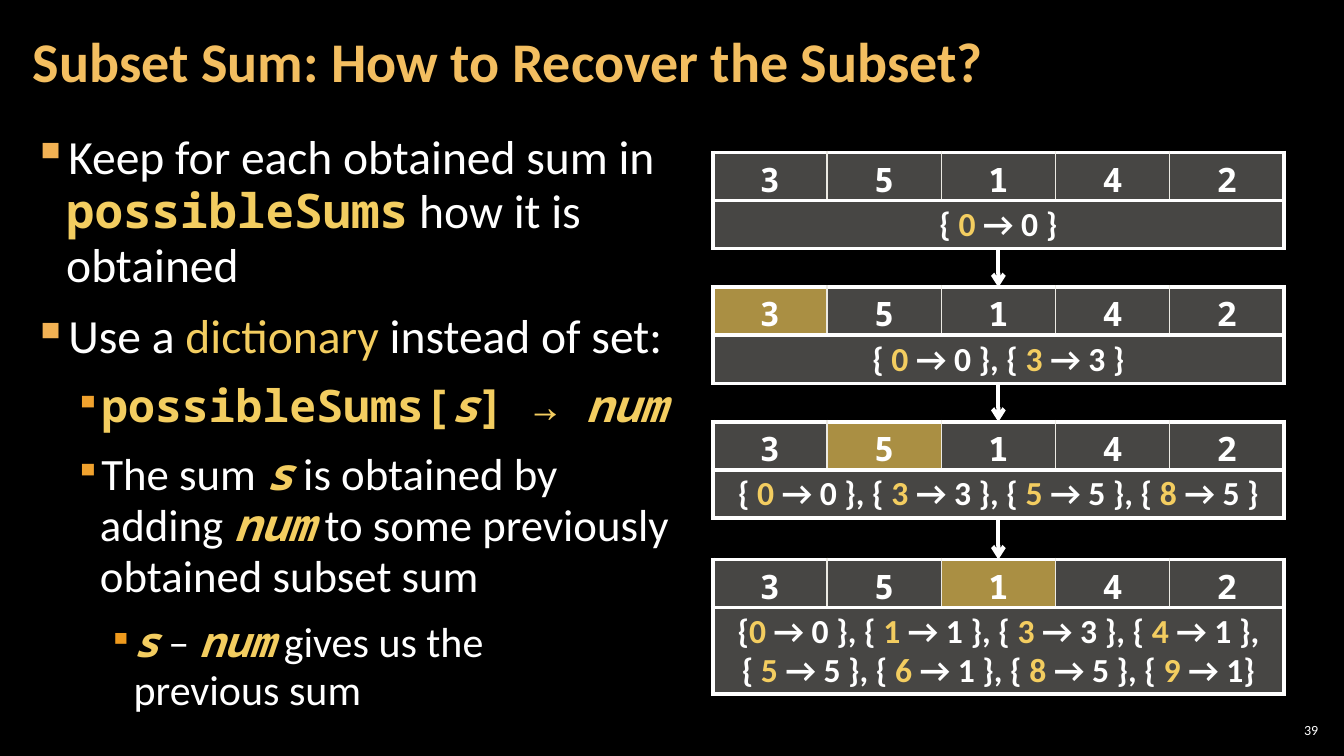
"""Build the slide on recovering the subset in the Subset Sum problem."""
from lxml.etree import SubElement
from pptx import Presentation
from pptx.dml.color import RGBColor
from pptx.enum.shapes import MSO_CONNECTOR
from pptx.enum.text import MSO_ANCHOR, PP_ALIGN
from pptx.oxml.ns import qn
from pptx.util import Cm, Pt

WHITE, GOLD, GREY = "FFFFFF", "F3CD60", "ECEAE3"
SANS, MONO = "Calibri", "Noto Sans Mono"
STYLES = {
    "plain": ({"name": SANS, "bold": False, "italic": False}, WHITE),
    "key": ({"name": SANS, "bold": False, "italic": False}, GOLD),
    "code": ({"name": MONO, "bold": True, "italic": False}, GOLD),
    "var": ({"name": MONO, "bold": True, "italic": True}, GOLD),
    "title": ({"name": SANS, "bold": True}, "F3BE60"),
    "number": ({"name": MONO, "bold": True}, WHITE),
    "value": ({"name": SANS, "bold": True}, WHITE),
    "sum": ({"name": SANS, "bold": True}, GOLD),
}


def color(hex_string):
    return RGBColor.from_string(hex_string)


def write(paragraph, runs, size, spacing=0.95):
    paragraph.line_spacing = spacing
    for text, style in runs:
        for index, line in enumerate(text.split("\n")):
            if index:
                paragraph.add_line_break()
            run = paragraph.add_run()
            run.text = line
            run.font.size = Pt(size)
            values, run_color = STYLES[style]
            for name, value in values.items():
                setattr(run.font, name, value)
            run.font.color.rgb = color(run_color)


presentation = Presentation()
presentation.slide_width, presentation.slide_height = Cm(33.87), Cm(19.05)
slide = presentation.slides.add_slide(presentation.slide_layouts[6])
slide.background.fill.solid()
slide.background.fill.fore_color.rgb = color("000000")

frames = []
for left, top, width, height, side, anchor in (
    (32.13, 18.14, 1.19, 0.53, 0.1, MSO_ANCHOR.MIDDLE),
    (0.53, 3.2, 17.04, 15.47, 0.3, MSO_ANCHOR.TOP),
    (0.53, 0.1, 26.59, 3.07, 0.3, MSO_ANCHOR.MIDDLE),
):
    frame = slide.shapes.add_textbox(Cm(left), Cm(top), Cm(width), Cm(height)).text_frame
    layout = {
        "word_wrap": True, "vertical_anchor": anchor,
        "margin_left": Cm(side), "margin_right": Cm(side),
        "margin_top": Cm(0.1), "margin_bottom": Cm(0.1),
    }
    for name, value in layout.items():
        setattr(frame, name, value)
    frames.append(frame)
page_number, explanation, title = frames

page_number.paragraphs[0].alignment = PP_ALIGN.RIGHT
write(page_number.paragraphs[0], [("39", "plain")], 10, 1.0)
write(title.paragraphs[0], [("Subset Sum: How to Recover the Subset?", "title")], 40, 0.9)

LEVELS = [
    {"size": 34, "left": 0.84, "hang": 0.84, "bullet": "F2B254", "percent": 100},
    {"size": 32, "left": 1.69, "hang": 0.64, "bullet": "F0A22E", "percent": 80},
    {"size": 30, "left": 2.54, "hang": 0.64, "bullet": "EF9A1D", "percent": 80},
]
POINTS = [
    (0, [("Keep for each obtained sum in ", "plain"), ("possibleSums", "code"),
         (" how it is obtained", "plain")]),
    (0, [("Use a ", "plain"), ("dictionary", "key"), (" instead of set:", "plain")]),
    (1, [("possibleSums[", "code"), ("s", "var"), ("] → ", "code"), ("num", "var")]),
    (1, [("The sum ", "plain"), ("s", "var"), (" is obtained by adding ", "plain"),
         ("num", "var"), (" to some previously obtained subset sum", "plain")]),
    (2, [("s", "var"), (" – ", "plain"), ("num", "var"),
         (" gives us the\nprevious sum", "plain")]),
]
for index, (depth, runs) in enumerate(POINTS):
    level = LEVELS[depth]
    point = explanation.add_paragraph() if index else explanation.paragraphs[0]
    point.level = depth
    properties = point._p.get_or_add_pPr()
    properties.set("marL", str(Cm(level["left"])))
    properties.set("indent", str(-Cm(level["hang"])))
    bullet_color = SubElement(properties, qn("a:buClr"))
    SubElement(bullet_color, qn("a:srgbClr"), val=level["bullet"])
    SubElement(properties, qn("a:buSzPct"), val=str(level["percent"] * 1000))
    SubElement(properties, qn("a:buChar"), char="▪")
    point.space_before = Pt(6 if index else 0)
    point.space_after = Pt(6)
    write(point, runs, level["size"])

NUMBERS = ["3", "5", "1", "4", "2"]
TABLE_LEFT, TABLE_WIDTH, ROW_HEIGHT = 17.96, 14.4, 1.21
STEPS = [
    (3.84, None, "{ |0 |→ 0 }", 1),
    (7.24, 0, "{ |0 |→ 0 }, { |3 |→ 3 }", 1),
    (10.63, 1, "{ |0 |→ 0 }, { |3 |→ 3 }, { |5 |→ 5 }, { |8 |→ 5 }", 1),
    (14.1, 2, "{|0 |→ 0 }, { |1 |→ 1 }, { |3 |→ 3 }, { |4 |→ 1 },\n"
              "{ |5 |→ 5 }, { |6 |→ 1 }, { |8 |→ 5 }, { |9 |→ 1}", 1.8),
]
for top, current, sums, lines in STEPS:
    number_cells = [[(number, "number")] for number in NUMBERS]
    sum_runs = [(text, "sum" if i % 2 else "value") for i, text in enumerate(sums.split("|"))]
    for row_top, height, cells, marked in (
        (top, ROW_HEIGHT, number_cells, current),
        (top + ROW_HEIGHT, ROW_HEIGHT * lines, [sum_runs], None),
    ):
        table = slide.shapes.add_table(
            1, len(cells), Cm(TABLE_LEFT), Cm(row_top), Cm(TABLE_WIDTH), Cm(height)).table
        table.first_row = table.horz_banding = False
        for column, runs in enumerate(cells):
            cell = table.cell(0, column)
            cell.margin_top = cell.margin_bottom = Cm(0.12)
            cell.text_frame.paragraphs[0].alignment = PP_ALIGN.CENTER
            write(cell.text_frame.paragraphs[0], runs, 24)
            properties = cell._tc.get_or_add_tcPr()
            edges = {"lnL": column == 0, "lnR": column == len(cells) - 1,
                     "lnT": True, "lnB": True}
            for edge, outer in edges.items():
                border = SubElement(properties, qn(f"a:{edge}"), w=str(Pt(3 if outer else 1)))
                border_fill = SubElement(border, qn("a:solidFill"))
                SubElement(border_fill, qn("a:srgbClr"), val=WHITE if outer else GREY)
            fill, opacity = (GOLD, 70) if column == marked else (GREY, 30)
            cell_fill = SubElement(properties, qn("a:solidFill"))
            cell_color = SubElement(cell_fill, qn("a:srgbClr"), val=fill)
            SubElement(cell_color, qn("a:alpha"), val=str(opacity * 1000))

arrow_x = Cm(TABLE_LEFT + TABLE_WIDTH / 2)
for step, next_step in zip(STEPS, STEPS[1:]):
    arrow = slide.shapes.add_connector(
        MSO_CONNECTOR.STRAIGHT, arrow_x, Cm(step[0] + 2 * ROW_HEIGHT), arrow_x, Cm(next_step[0]))
    arrow.line.width = Pt(3)
    arrow.line.color.rgb = color(WHITE)
    outline = arrow._element.spPr.find(qn("a:ln"))
    SubElement(outline, qn("a:tailEnd"), type="arrow")
    SubElement(arrow._element.spPr, qn("a:effectLst"))

presentation.save("out.pptx")
